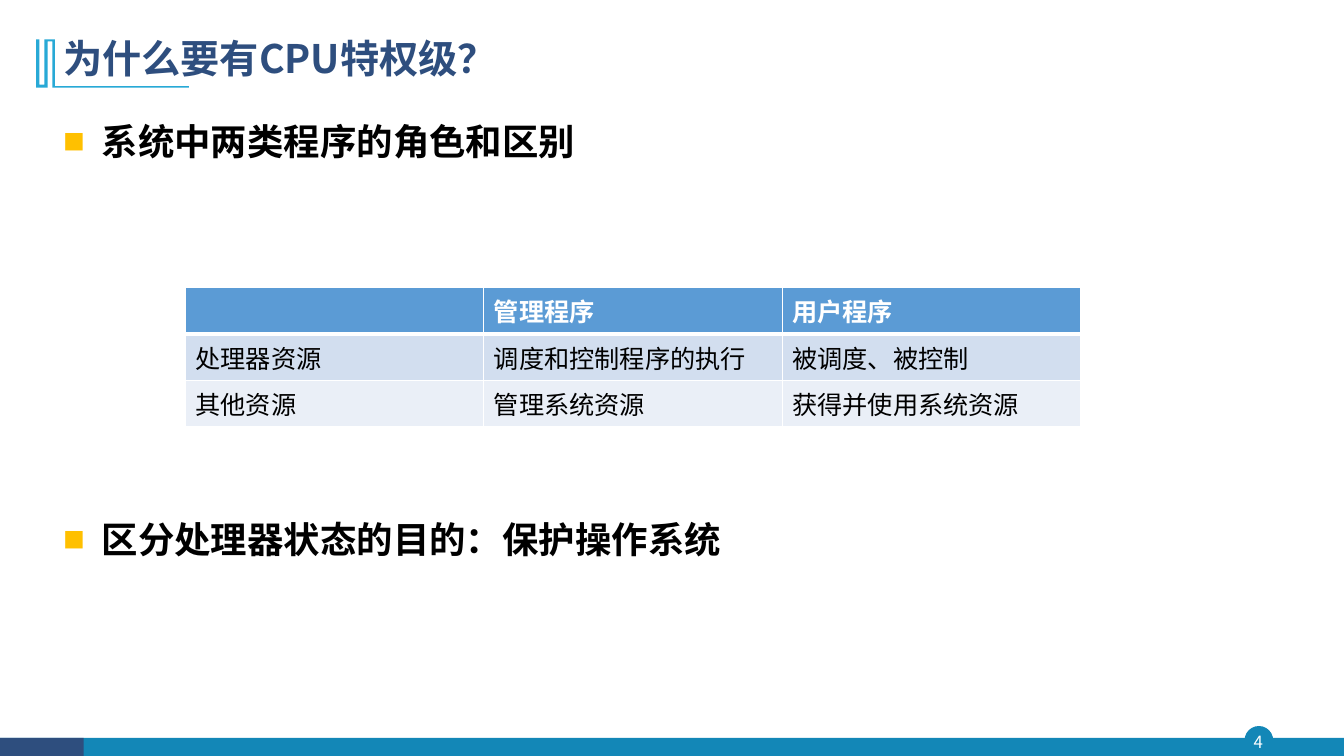
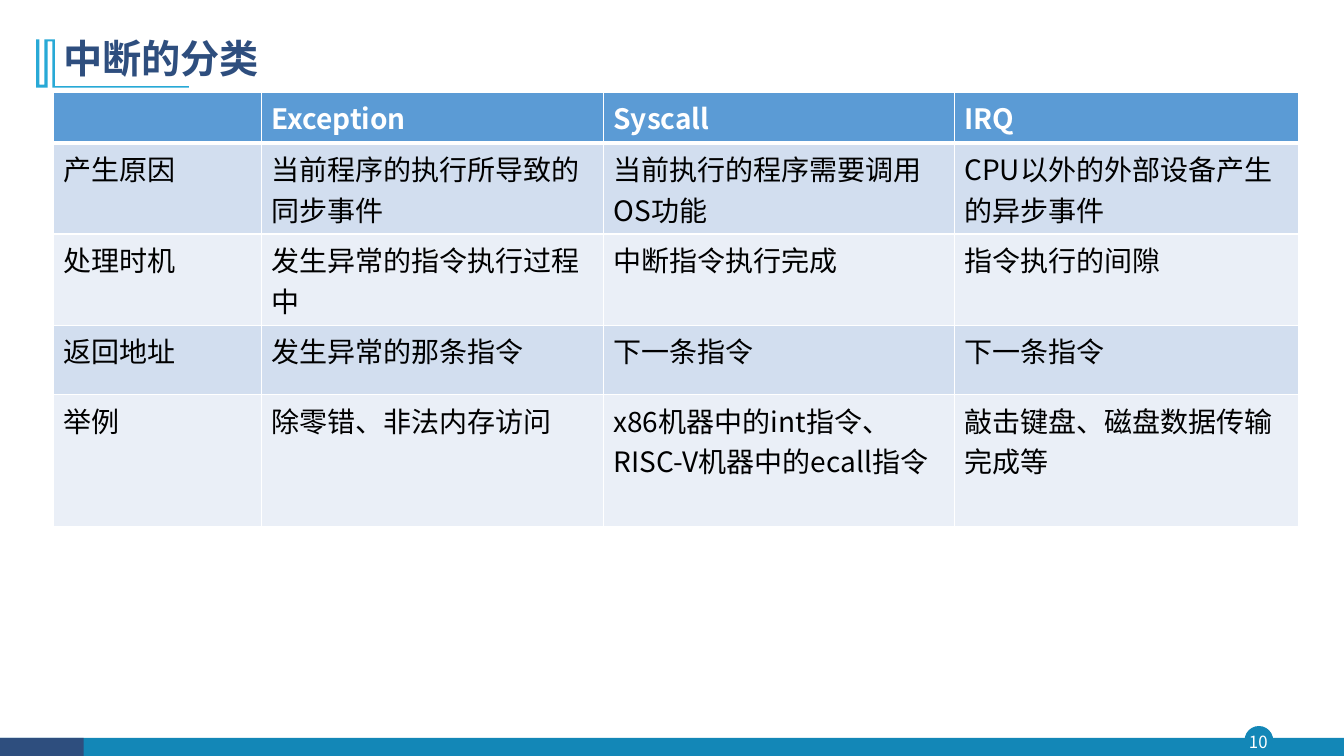
from dataclasses import dataclass

from lxml.etree import SubElement
from pptx import Presentation
from pptx.dml.color import RGBColor
from pptx.enum.shapes import MSO_SHAPE
from pptx.enum.text import MSO_ANCHOR, PP_ALIGN
from pptx.oxml import parse_xml
from pptx.oxml.ns import nsdecls, qn
from pptx.shapes.autoshape import Shape
from pptx.slide import Slide
from pptx.table import _Cell
from pptx.text.text import TextFrame, _Paragraph
from pptx.util import Inches, Pt

WIDTH, HEIGHT = Inches(13.33), Inches(7.5)
FONT = "Noto Sans CJK SC"

NAVY = RGBColor(0x2E, 0x4E, 0x7E)
TEAL = RGBColor(0x13, 0x87, 0xB7)
CYAN = RGBColor(0x28, 0xA9, 0xD6)
AMBER = RGBColor(0xFF, 0xC0, 0x00)
HEADER_BLUE = RGBColor(0x5B, 0x9B, 0xD5)
BAND_DARK = RGBColor(0xD2, 0xDE, 0xEF)
BAND_LIGHT = RGBColor(0xEA, 0xEF, 0xF7)
WHITE = RGBColor(0xFF, 0xFF, 0xFF)
BLACK = RGBColor(0x00, 0x00, 0x00)

# Corner points of the title ornament, in percent of the slide
ORNAMENT = [
    (4.08, 5.2), (4.08, 11.4), (14.06, 11.4), (14.06, 11.6), (3.9, 11.6),
    (3.9, 5.47), (3.55, 5.47), (3.55, 11.6), (2.7, 11.6), (2.7, 5.2),
    (2.93, 5.2), (2.93, 11.2), (3.3, 11.2), (3.3, 5.2),
]


@dataclass(frozen=True)
class Area:
    """A rectangle in percent of the slide's width and height."""
    left: float
    top: float
    width: float
    height: float

    def box(self) -> tuple[int, int, int, int]:
        return (across(self.left), down(self.top),
                across(self.width), down(self.height))


@dataclass(frozen=True)
class Bullet:
    text: str
    space_before: float


@dataclass(frozen=True)
class Grid:
    """A table; left, top, columns and rows are percent of the slide."""
    left: float
    top: float
    columns: list[float]
    rows: list[float]
    size: int
    cells: list[list[str]]


@dataclass(frozen=True)
class Page:
    number: int
    title: str
    grid: Grid
    bullets: tuple[Bullet, ...] = ()


TITLE = Area(3.98, 4, 78.7, 7.47)
BODY = Area(3.98, 12.25, 92.65, 85.33)
BAND = Area(0, 97.6, 100, 2.4)
BAND_START = Area(0, 97.6, 6.23, 2.4)
BADGE = Area(92.65, 96.13, 2.03, 3.6)
PAGE_NUMBER = Area(92.42, 96.13, 2.4, 3.87)

PAGES = [
    Page(
        4, "为什么要有CPU特权级？",
        Grid(13.8, 38, [22.2] * 3, [6.16] * 3, 18, [
            ["", "管理程序", "用户程序"],
            ["处理器资源", "调度和控制程序的执行", "被调度、被控制"],
            ["其他资源", "管理系统资源", "获得并使用系统资源"],
        ]),
        (Bullet("系统中两类程序的角色和区别", 10),
         Bullet("区分处理器状态的目的：保护操作系统", 237)),
    ),
    Page(
        10, "中断的分类",
        Grid(3.98, 12.2, [15.47, 25.45, 26.1, 25.63],
             [6.7, 12.06, 12.06, 9.2, 17.42], 20, [
            ["", "Exception", "Syscall", "IRQ"],
            ["产生原因", "当前程序的执行所导致的同步事件",
             "当前执行的程序需要调用OS功能", "CPU以外的外部设备产生的异步事件"],
            ["处理时机", "发生异常的指令执行过程中", "中断指令执行完成", "指令执行的间隙"],
            ["返回地址", "发生异常的那条指令", "下一条指令", "下一条指令"],
            ["举例", "除零错、非法内存访问",
             "x86机器中的int指令、RISC-V机器中的ecall指令",
             "敲击键盘、磁盘数据传输完成等"],
        ]),
    ),
]


def across(percent: float) -> int:
    return round(WIDTH * percent / 100)


def down(percent: float) -> int:
    return round(HEIGHT * percent / 100)


def write(paragraph: _Paragraph, text: str, size: int, color: RGBColor,
          bold: bool = False) -> None:
    paragraph.text = text
    font = paragraph.font
    font.name, font.size, font.bold = FONT, Pt(size), bold
    font.color.rgb = color
    properties = paragraph._p.get_or_add_pPr().find(qn("a:defRPr"))
    SubElement(properties, qn("a:ea")).set("typeface", FONT)


def paint(shape: Shape, color: RGBColor) -> None:
    shape.shadow.inherit = False
    shape.fill.solid()
    shape.fill.fore_color.rgb = color
    shape.line.fill.background()


def add_block(slide: Slide, kind: MSO_SHAPE, area: Area, color: RGBColor) -> Shape:
    block = slide.shapes.add_shape(kind, *area.box())
    paint(block, color)
    return block


def add_text_area(slide: Slide, area: Area) -> TextFrame:
    frame = slide.shapes.add_textbox(*area.box()).text_frame
    frame.word_wrap = True
    return frame


def add_footer(slide: Slide, number: int) -> None:
    badge = add_block(slide, MSO_SHAPE.OVAL, BADGE, TEAL)
    badge.line.color.rgb = TEAL
    badge.line.width = Pt(1)
    add_block(slide, MSO_SHAPE.RECTANGLE, BAND, TEAL)
    add_block(slide, MSO_SHAPE.RECTANGLE, BAND_START, NAVY)
    frame = add_text_area(slide, PAGE_NUMBER)
    frame.margin_left = frame.margin_right = 0
    frame.margin_top = frame.margin_bottom = 0
    frame.vertical_anchor = MSO_ANCHOR.MIDDLE
    frame.paragraphs[0].alignment = PP_ALIGN.CENTER
    write(frame.paragraphs[0], str(number), 12, WHITE)


def add_title(slide: Slide, title: str) -> None:
    start, *corners = [(across(x), down(y)) for x, y in ORNAMENT]
    builder = slide.shapes.build_freeform(*start)
    builder.add_line_segments(corners, close=True)
    paint(builder.convert_to_shape(), CYAN)
    frame = add_text_area(slide, TITLE)
    frame.vertical_anchor = MSO_ANCHOR.BOTTOM
    frame.paragraphs[0].line_spacing = 0.9
    write(frame.paragraphs[0], title, 28, NAVY, bold=True)


def add_square_bullet(paragraph: _Paragraph) -> None:
    properties = paragraph._p.get_or_add_pPr()
    indent = Inches(0.38)
    properties.set("marL", str(indent))
    properties.set("indent", str(-indent))
    marks = (
        f'<a:buClr {nsdecls("a")}><a:srgbClr val="{AMBER}"/></a:buClr>',
        f'<a:buSzPct {nsdecls("a")} val="60000"/>',
        f'<a:buFont {nsdecls("a")} typeface="{FONT}"/>',
        f'<a:buChar {nsdecls("a")} char="■"/>',
    )
    run_defaults = properties.find(qn("a:defRPr"))
    for mark in marks:
        run_defaults.addprevious(parse_xml(mark))


def add_bullets(slide: Slide, bullets: tuple[Bullet, ...]) -> None:
    frame = add_text_area(slide, BODY)
    for index, bullet in enumerate(bullets):
        paragraph = frame.add_paragraph() if index else frame.paragraphs[0]
        paragraph.alignment = PP_ALIGN.JUSTIFY
        paragraph.line_spacing = 1.5
        paragraph.space_before = Pt(bullet.space_before)
        write(paragraph, bullet.text, 26, BLACK, bold=True)
        add_square_bullet(paragraph)


def add_borders(cell: _Cell, top: int, bottom: int) -> None:
    """Draw white cell borders; top and bottom are widths in points."""
    properties = cell._tc.get_or_add_tcPr()
    widths = {"lnL": 1, "lnR": 1, "lnT": top, "lnB": bottom}
    for index, (side, width) in enumerate(widths.items()):
        properties.insert(index, parse_xml(
            f'<a:{side} {nsdecls("a")} w="{Pt(width)}"><a:solidFill>'
            f'<a:srgbClr val="{WHITE}"/></a:solidFill></a:{side}>'))


def add_grid(slide: Slide, grid: Grid) -> None:
    area = Area(grid.left, grid.top, sum(grid.columns), sum(grid.rows))
    table = slide.shapes.add_table(
        len(grid.rows), len(grid.columns), *area.box()).table
    for column, width in zip(table.columns, grid.columns):
        column.width = across(width)
    for row, height in zip(table.rows, grid.rows):
        row.height = down(height)
    for r, texts in enumerate(grid.cells):
        is_header = r == 0
        band = HEADER_BLUE if is_header else BAND_DARK if r % 2 else BAND_LIGHT
        for c, text in enumerate(texts):
            cell = table.cell(r, c)
            cell.fill.solid()
            cell.fill.fore_color.rgb = band
            add_borders(cell, top=3 if r == 1 else 1, bottom=3 if is_header else 1)
            write(cell.text_frame.paragraphs[0], text, grid.size,
                  WHITE if is_header else BLACK, bold=is_header)


def main() -> None:
    presentation = Presentation()
    presentation.slide_width, presentation.slide_height = WIDTH, HEIGHT
    blank = presentation.slide_layouts[6]
    for page in PAGES:
        slide = presentation.slides.add_slide(blank)
        add_footer(slide, page.number)
        add_title(slide, page.title)
        if page.bullets:
            add_bullets(slide, page.bullets)
        add_grid(slide, page.grid)
    presentation.save("out.pptx")


if __name__ == "__main__":
    main()
